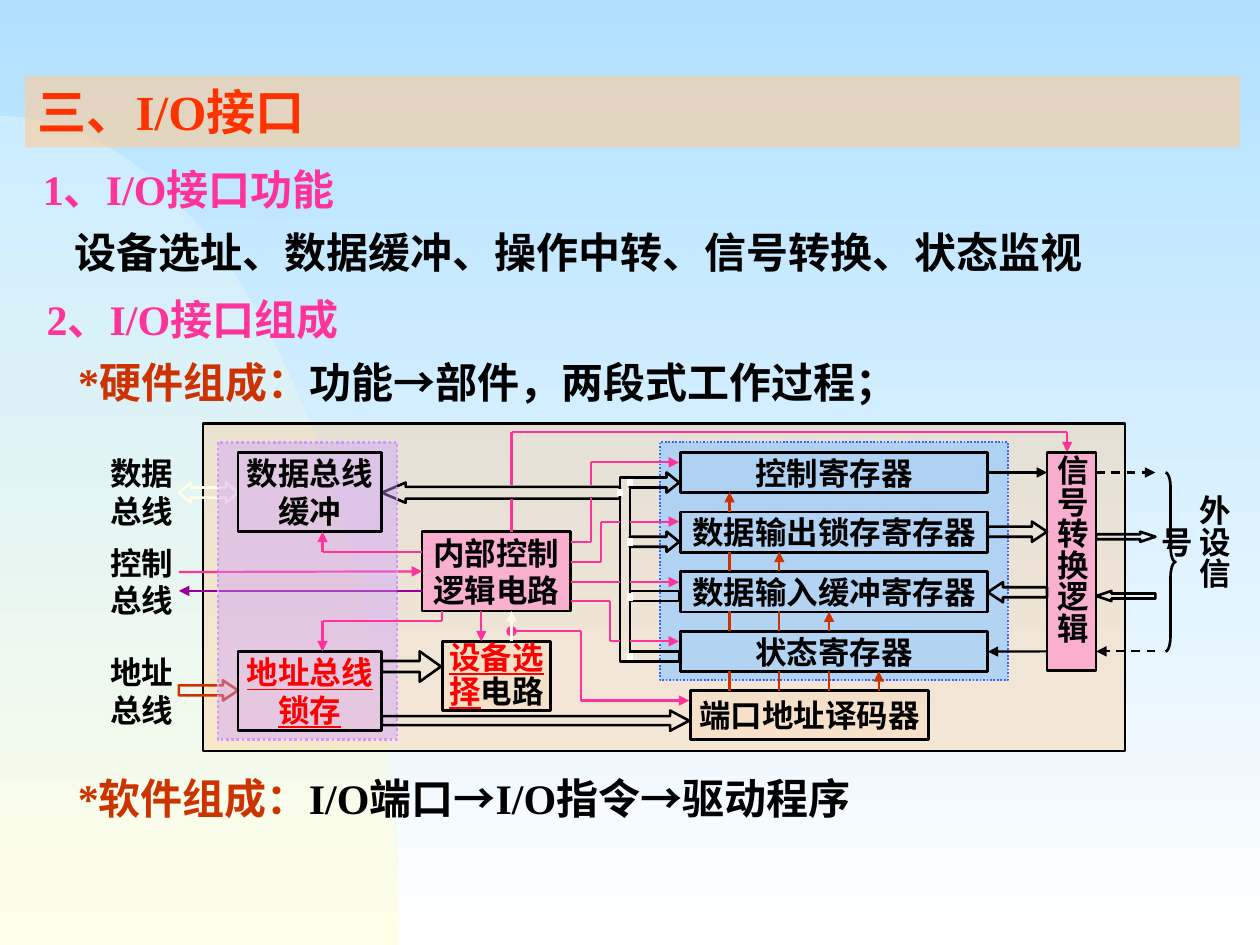
import pptx
import pptx.util
import pptx.dml.color
import pptx.enum.dml
import pptx.enum.shapes
import pptx.enum.text
import pptx.oxml
import pptx.oxml.ns

Inches, Pt = pptx.util.Inches, pptx.util.Pt
SHAPES = pptx.enum.shapes.MSO_SHAPE
DASHES = pptx.enum.dml.MSO_LINE
ALIGN = pptx.enum.text.PP_ALIGN
ANCHOR = pptx.enum.text.MSO_ANCHOR
qn = pptx.oxml.ns.qn
FONT = "Times New Roman"
COLORS = {
    "sky": "B1E1FF", "white": "FFFFFF", "pale": "CCECFF", "cream": "FFFFE7",
    "black": "000000", "peach": "FFCC99", "title": "FF3300", "pink": "FF3399",
    "brick": "CC3300", "red": "FF0000", "purple": "990099", "rose": "FF99CC",
    "blue": "99CCFF", "edge": "3366FF", "lilac": "CC99FF",
}


def rgb(name):
    return pptx.dml.color.RGBColor.from_string(COLORS[name])


def add_xml(parent, tag, **attributes):
    child = pptx.oxml.parse_xml(f"<a:{tag} {pptx.oxml.ns.nsdecls('a')}/>")
    for key, value in attributes.items():
        child.set(key, value)
    parent.append(child)


def set_gradient(fill, top, bottom):
    fill.gradient()
    fill.gradient_angle = 270
    for stop, name in zip(fill.gradient_stops, (top, bottom)):
        stop.color.rgb = rgb(name)


def set_fill(shape, name, opacity=100):
    shape.fill.solid()
    shape.fill.fore_color.rgb = rgb(name)
    color = shape.element.spPr.find(qn("a:solidFill")).find(qn("a:srgbClr"))
    add_xml(color, "alpha", val=str(opacity * 1000))


def set_line(line, name, width, dash=None):
    line.color.rgb = rgb(name)
    line.width = Pt(width)
    if dash:
        line.dash_style = dash


def write_runs(paragraph, runs, size):
    for text, color, *underline in runs:
        run = paragraph.add_run()
        run.text = text
        font = run.font
        font.name, font.size, font.bold = FONT, Pt(size), True
        font.color.rgb = rgb(color)
        if underline:
            font.underline = True


def write_heading(shape, box, paragraphs, size=24, spacing=1.25):
    """Move a text shape and write (indent, runs) paragraphs without bullets."""
    shape.left, shape.top, shape.width, shape.height = map(Inches, box)
    frame = shape.text_frame
    frame.word_wrap = True
    frame.auto_size = pptx.enum.text.MSO_AUTO_SIZE.NONE
    frame.vertical_anchor = ANCHOR.TOP
    for index, (indent, runs) in enumerate(paragraphs):
        paragraph = frame.add_paragraph() if index else frame.paragraphs[0]
        properties = paragraph._p.get_or_add_pPr()
        properties.set("marL", str(Inches(indent)))
        properties.set("indent", "0")
        add_xml(properties, "buNone")
        paragraph.alignment = ALIGN.LEFT
        paragraph.space_before = Pt(0)
        paragraph.line_spacing = spacing
        write_runs(paragraph, runs, size)


def write_label(shape, runs, vertical=False, spacing=1.0):
    frame = shape.text_frame
    frame.word_wrap = True
    frame.vertical_anchor = ANCHOR.MIDDLE
    side, end = (0.01, 0.02) if vertical else (0.02, 0.01)
    frame.margin_left = frame.margin_right = Inches(side)
    frame.margin_top = frame.margin_bottom = Inches(end)
    if vertical:
        shape.element.txBody.find(qn("a:bodyPr")).set("vert", "eaVert")
    paragraph = frame.paragraphs[0]
    paragraph.alignment = ALIGN.CENTER
    paragraph.line_spacing = spacing
    write_runs(paragraph, runs, 18)


def add_caption(slide, box, text, vertical=False):
    write_label(slide.shapes.add_textbox(*map(Inches, box)), [(text, "black")], vertical)


def add_block(slide, box, runs=(), fill=None, opacity=100, line="black", width=1.5,
              dash=None, kind=SHAPES.RECTANGLE, adjustments=(), rotation=0, **label):
    shape = slide.shapes.add_shape(kind, *map(Inches, box))
    shape.shadow.inherit = False
    shape.rotation = rotation
    for index, value in enumerate(adjustments):
        shape.adjustments[index] = value
    if fill:
        set_fill(shape, fill, opacity)
    else:
        shape.fill.background()
    set_line(shape.line, line, width, dash)
    if runs:
        write_label(shape, runs, **label)
    return shape


def add_arrow(slide, box, shaft, head, rotation=0, line="black", kind=SHAPES.RIGHT_ARROW):
    add_block(slide, box, kind=kind, adjustments=(shaft, head), rotation=rotation, line=line)


def add_route(slide, points, color="pink", width=1.25, dash=None, head=None, tail=None):
    """Draw straight connectors through the points; return the last one."""
    last = len(points) - 2
    for index, (start, end) in enumerate(zip(points, points[1:])):
        connector = slide.shapes.add_connector(
            pptx.enum.shapes.MSO_CONNECTOR.STRAIGHT, *map(Inches, start + end))
        set_line(connector.line, color, width, dash)
        properties = connector.element.spPr
        outline = properties.find(qn("a:ln"))
        if head and index == 0:
            add_xml(outline, "headEnd", type=head)
        if tail and index == last:
            add_xml(outline, "tailEnd", type=tail)
        add_xml(properties, "effectLst")
    return connector


def add_backdrop(slide):
    set_gradient(slide.background.fill, "sky", "white")
    curve = []
    for step in range(41):
        t = step / 40
        u = 1 - t
        curve.append((Inches(3 * u * u * t * 1.75 + 3 * u * t * t * 3.17 + t ** 3 * 3.17),
                      Inches(0.92 * (u ** 3 + 3 * u * u * t) + 3 * u * t * t * 3.87 + t ** 3 * 7.5)))
    builder = slide.shapes.build_freeform(*curve[0])
    builder.add_line_segments(curve[1:] + [(0, Inches(7.5))], close=True)
    shape = builder.convert_to_shape()
    shape.shadow.inherit = False
    set_gradient(shape.fill, "pale", "cream")
    shape.line.fill.background()
    slide.shapes.element.insert(2, shape.element)


def add_headings(slide):
    title, functions, parts = slide.placeholders
    write_heading(functions, (0.24, 1.15, 9.56, 1.1), [
        (0, [("1、I/O接口功能", "pink")]),
        (0.25, [("设备选址、数据缓冲、操作中转、信号转换、状态监视", "black")])])
    set_fill(title, "peach", 60)
    write_heading(title, (0.2, 0.6, 9.64, 0.57), [(0, [("三、I/O接口", "title")])], 28, 1.0)
    write_heading(parts, (0.27, 2.18, 9.53, 1.1), [
        (0, [("2、I/O接口组成", "pink")]),
        (0.25, [("*硬件组成：", "brick"), ("功能→部件，两段式工作过程；", "black")])])
    software = slide.shapes.add_textbox(0, 0, 0, 0)
    write_heading(software, (0.27, 5.98, 9.53, 0.6), [
        (0.25, [("*软件组成：", "brick"), ("I/O端口→I/O指令→驱动程序", "black")])])


def add_outside(slide):
    """Add the frame, the buses on its left and the device signals on its right."""
    add_block(slide, (1.61, 3.36, 7.32, 2.6), fill="peach", opacity=40)
    add_arrow(slide, (1.42, 3.83, 0.47, 0.16), 0.5, 0.597, line="cream",
              kind=SHAPES.LEFT_RIGHT_ARROW)
    add_arrow(slide, (1.42, 5.4, 0.47, 0.16), 0.5, 0.75, line="brick")
    for top, text in ((3.59, "数据总线"), (4.3, "控制总线"), (5.17, "地址总线")):
        add_caption(slide, (0.83, top, 0.59, 0.63), text)
    add_caption(slide, (9.33, 3.91, 0.31, 1.02), "外设信号", vertical=True)
    add_block(slide, (9.25, 3.75, 0.08, 1.42), kind=SHAPES.RIGHT_BRACE, adjustments=(1.5, 0.5))
    for points in ([(8.7, 3.75), (9.17, 3.75)], [(9.17, 5.17), (8.7, 5.17)]):
        add_route(slide, points, "black", dash=DASHES.DASH, tail="triangle")
    for top, rotation in ((4.22, 0), (4.69, 180)):
        add_arrow(slide, (8.7, top, 0.47, 0.08), 0.5, 1.5, rotation)


def add_registers(slide):
    add_block(slide, (5.24, 3.51, 2.76, 1.89), fill="blue", opacity=70, line="edge", width=1,
              dash=DASHES.ROUND_DOT)
    names = ("控制寄存器", "数据输出锁存寄存器", "数据输入缓冲寄存器", "状态寄存器")
    registers = [add_block(slide, (5.4, 3.59 + 0.474 * row, 2.44, 0.32), [(name, "black")])
                 for row, name in enumerate(names)]
    add_block(slide, (4.92, 3.79, 0.08, 1.46))
    for top in (3.75, 4.22):
        add_arrow(slide, (5, top, 0.39, 0.16), 0.5, 0.624)
    for top in (4.69, 5.17):
        add_block(slide, (5, top, 0.39, 0.08))
    add_arrow(slide, (3.03, 3.83, 1.89, 0.16), 0.583, 1.182, 180)
    for x, top in ((5, 3.8), (5, 4.27), (5, 4.71), (5, 5.18), (4.92, 3.88)):
        add_route(slide, [(x, top), (x, top + 0.06)], "white", 3)
    return registers


def add_inner_blocks(slide):
    control = add_block(slide, (3.35, 4.22, 1.18, 0.63), [("内部控制逻辑电路", "black")],
                        "rose", 70)
    line = add_route(slide, [(1.42, 4.54), (3.35, 4.54)], tail="triangle")
    line.end_connect(control, 1)
    add_route(slide, [(3.35, 4.69), (1.42, 4.69)], "purple", tail="triangle")
    add_block(slide, (1.73, 3.51, 1.42, 2.36), fill="lilac", opacity=40, line="lilac",
              dash=DASHES.ROUND_DOT)
    add_block(slide, (1.89, 3.59, 1.14, 0.63), [("数据总线缓冲", "black")])
    add_block(slide, (1.89, 5.17, 1.14, 0.63), [("地址总线锁存", "red", True)])
    add_arrow(slide, (3.03, 5.64, 2.44, 0.16), 0.444, 0.944)
    add_block(slide, (3.51, 5.09, 0.86, 0.55), [("设备选择", "red", True), ("电路", "black")],
              "peach", 20, spacing=0.9)
    add_arrow(slide, (3.03, 5.17, 0.47, 0.24), 0.363, 0.702)
    add_block(slide, (5.48, 5.48, 1.89, 0.39), [("端口地址译码器", "black")], "peach", 20)


def add_control_lines(slide):
    arrows = (
        [(3.35, 4.38), (2.56, 4.38), (2.56, 4.22)],
        [(3.51, 4.85), (3.51, 4.93), (2.56, 4.93), (2.56, 5.17)],
        [(3.82, 4.85), (3.82, 5.09)],
        [(4.06, 3.85), (4.06, 3.43), (8.47, 3.43), (8.47, 3.59)],
        [(4.69, 3.85), (4.69, 3.67), (5.39, 3.67)],
        [(5, 4.14), (5.39, 4.14)], [(5, 4.62), (5.39, 4.62)], [(5, 5.09), (5.39, 5.09)])
    plain = (
        [(4.06, 3.96), (4.06, 4.22)],
        [(4.53, 4.3), (4.69, 4.3), (4.69, 3.95)],
        [(4.53, 4.46), (4.77, 4.46), (4.77, 4.14), (4.92, 4.14)],
        [(4.53, 4.62), (4.92, 4.62)],
        [(4.53, 4.77), (4.84, 4.77), (4.84, 5.09), (4.92, 5.09)])
    for points in arrows:
        add_route(slide, points, tail="triangle")
    for points in plain:
        add_route(slide, points)
    add_route(slide, [(4.06, 5.01), (4.61, 5.01), (4.61, 5.56), (5.47, 5.56)],
              head="oval", tail="triangle")
    add_route(slide, [(4.06, 5.09), (4.06, 4.85)], "cream", tail="triangle")


def add_select_lines(slide):
    """Run one line from the decoder up to each register, hidden behind those it passes."""
    for column in range(4):
        x = 5.79 + 0.395 * column
        for row in range(column, 4):
            y = 4.06 + 0.474 * row
            add_route(slide, [(x, y), (x, y - 0.155)], "brick",
                      tail="triangle" if row == column else None)


def add_signal_converter(slide, registers):
    add_block(slide, (8.31, 3.59, 0.39, 1.73), [("信号转换逻辑", "black")], "rose", 70,
              vertical=True)
    for top, rotation in ((4.14, 0), (4.62, 180)):
        add_arrow(slide, (7.84, top, 0.47, 0.16), 0.5, 0.75, rotation)
    command = add_route(slide, [(7.84, 3.75), (8.31, 3.75)], "black", tail="triangle")
    command.begin_connect(registers[0], 3)
    status = add_route(slide, [(8.31, 5.17), (7.84, 5.17)], "black", tail="triangle")
    status.end_connect(registers[3], 3)


def main():
    presentation = pptx.Presentation()
    presentation.slide_width, presentation.slide_height = Inches(10), Inches(7.5)
    slide = presentation.slides.add_slide(presentation.slide_layouts[3])
    add_backdrop(slide)
    add_headings(slide)
    add_outside(slide)
    registers = add_registers(slide)
    add_inner_blocks(slide)
    add_control_lines(slide)
    add_select_lines(slide)
    add_signal_converter(slide, registers)
    presentation.save("out.pptx")


if __name__ == "__main__":
    main()
